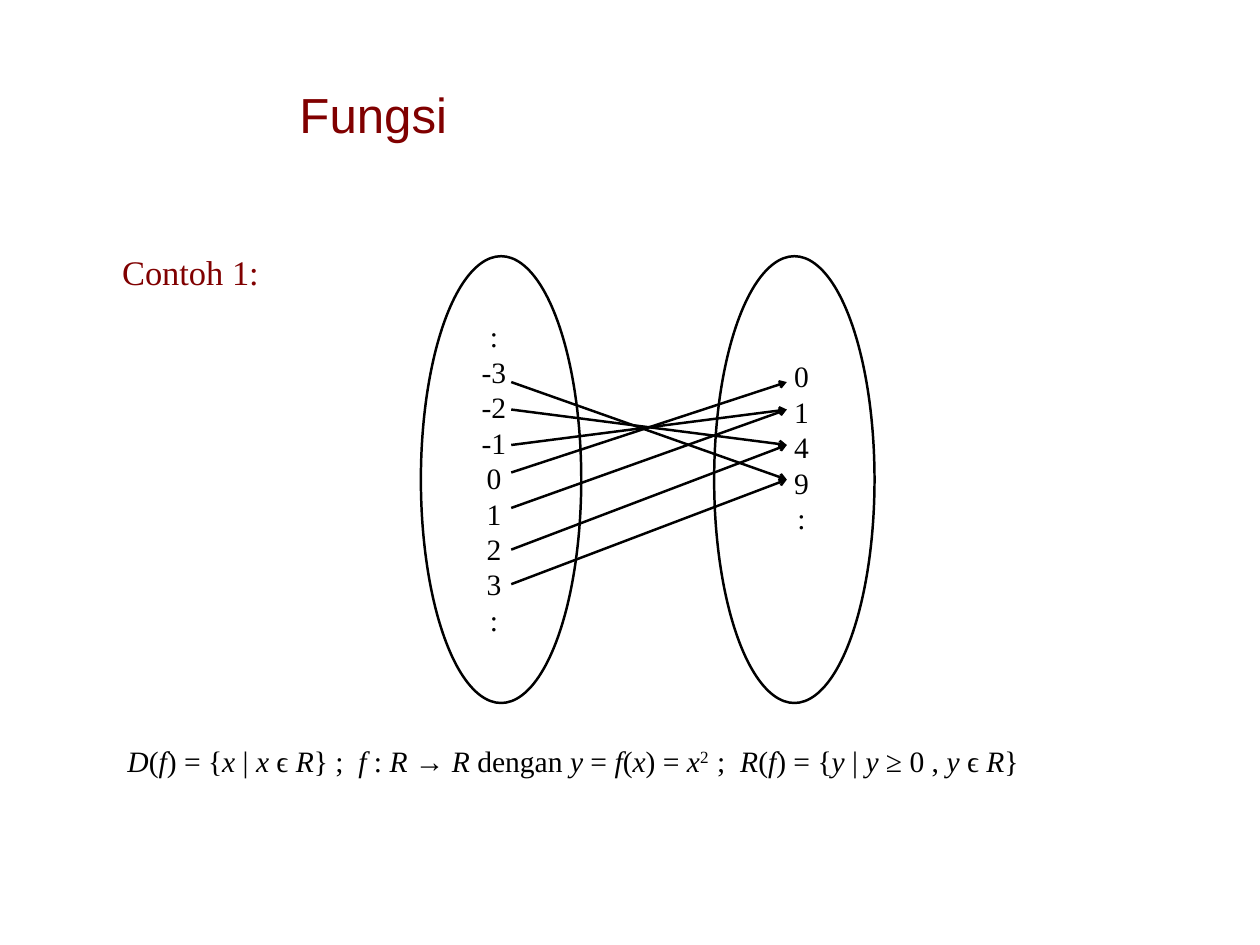
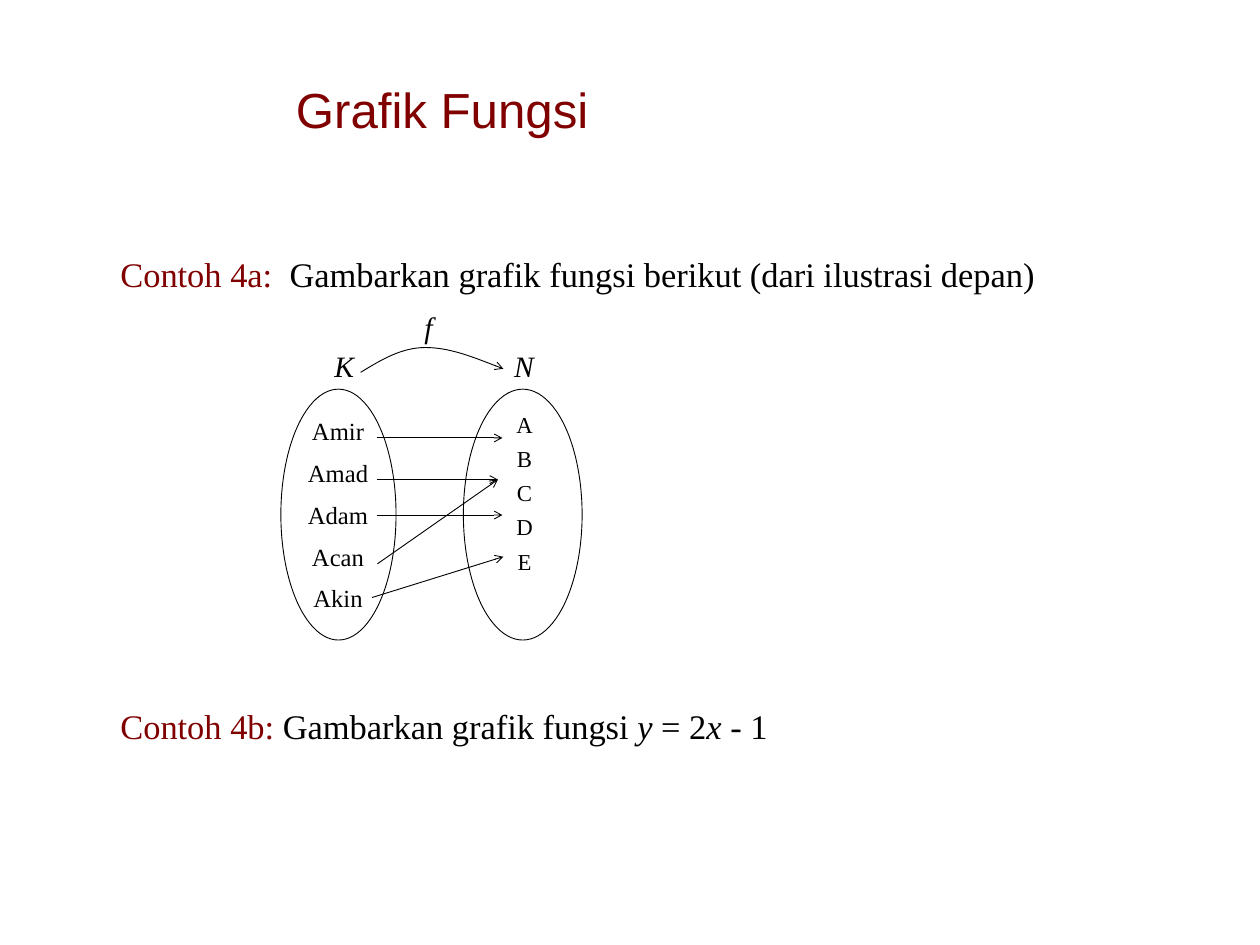
"""Build two slides on functions, with their mapping diagrams."""
from lxml.etree import SubElement
from pptx import Presentation
from pptx.dml.color import RGBColor
from pptx.enum.shapes import MSO_CONNECTOR, MSO_SHAPE
from pptx.enum.text import MSO_ANCHOR, PP_ALIGN
from pptx.oxml.ns import qn
from pptx.util import Pt

PX = 9144
COLORS = {"maroon": "800000", "black": "000000", "white": "FFFFFF"}
TITLE_FONT, BODY_FONT = "Arial", "Times New Roman"
LEFT, CENTER = PP_ALIGN.LEFT, PP_ALIGN.CENTER
MIDDLE = MSO_ANCHOR.MIDDLE
OVAL, STRAIGHT = MSO_SHAPE.OVAL, MSO_CONNECTOR.STRAIGHT


def add_text(page, bounds, lines, size, align=LEFT, inset=(10, 5), after=0, spacing=1.0):
    """Add a text box; * toggles italics, # starts a maroon span, ^ a superscript one."""
    box = page.shapes.add_textbox(*(value * PX for value in bounds))
    frame = box.text_frame
    frame.word_wrap = True
    frame.margin_left = frame.margin_right = inset[0] * PX
    frame.margin_top = frame.margin_bottom = inset[1] * PX
    for index, line in enumerate(lines):
        para = frame.add_paragraph() if index else frame.paragraphs[0]
        para.alignment = align
        para.space_after = Pt(after)
        para.line_spacing = spacing
        para.font.name = BODY_FONT
        para.font.size = Pt(size)
        para.font.color.rgb = RGBColor.from_string(COLORS["black"])
        for position, piece in enumerate(line.split("*")):
            if not piece:
                continue
            span = para.add_run()
            span.text = piece.lstrip("#^")
            if position % 2:
                span.font.italic = True
            if piece.startswith("#"):
                span.font.color.rgb = RGBColor.from_string(COLORS["maroon"])
            if piece.startswith("^"):
                span.font._element.set("baseline", "30000")


def draw_outline(shape, width, arrow=False):
    """Give a shape or connector a plain black line, with an arrowhead if asked."""
    shape.line.color.rgb = RGBColor.from_string(COLORS["black"])
    shape.line.width = Pt(width)
    properties = shape._element.spPr
    if arrow:
        SubElement(properties.find(qn("a:ln")), qn("a:tailEnd"), type="arrow")
    SubElement(properties, qn("a:effectLst"))


deck = Presentation()
deck.slide_width, deck.slide_height = 1422 * PX, 1066 * PX

pages = []
for text, left, top, width in [("Fungsi", 332, 85, 225), ("Grafik Fungsi", 328, 80, 414)]:
    page = deck.slides.add_slide(deck.slide_layouts[5])
    title = page.shapes.title
    title.left, title.top, title.width, title.height = left * PX, top * PX, width * PX, 86 * PX
    frame = title.text_frame
    frame.text = text
    frame.vertical_anchor = MIDDLE
    frame.margin_left = frame.margin_right = frame.margin_top = frame.margin_bottom = 6 * PX
    para = frame.paragraphs[0]
    para.alignment = LEFT
    para.font.name = TITLE_FONT
    para.font.size = Pt(40)
    para.font.color.rgb = RGBColor.from_string(COLORS["maroon"])
    pages.append(page)
function_page, graph_page = pages

add_text(function_page, (128, 278, 213, 66), ["#Contoh 1:"], 28)
formula = (
    "*D*(*f*) = {*x *| *x *ϵ *R*} ;  *f* : *R* →* R* dengan *y* = *f*(*x*) = *x*^2  **;  "
    "*R*(*f*) = {*y* | *y* ≥ 0 , *y *ϵ *R*}"
)
add_text(function_page, (134, 833, 1112, 63), [formula], 24)
add_text(graph_page, (126, 281, 1215, 66),
         ["#Contoh 4a:  **Gambarkan grafik fungsi berikut (dari ilustrasi depan)"], 28)
add_text(graph_page, (126, 790, 782, 66),
         ["#Contoh 4b: **Gambarkan grafik fungsi *y* = 2*x* - 1"], 28)

for page, left, top, width, height, weight in [
    (function_page, 475, 289, 181, 504, 2),
    (function_page, 806, 289, 181, 504, 2),
    (graph_page, 317, 439, 130, 283, 0.75),
    (graph_page, 523, 439, 134, 283, 0.75),
]:
    oval = page.shapes.add_shape(OVAL, left * PX, top * PX, width * PX, height * PX)
    oval.fill.solid()
    oval.fill.fore_color.rgb = RGBColor.from_string(COLORS["white"])
    draw_outline(oval, weight)

numbers = range(-3, 4)
add_text(function_page, (514, 354, 87, 375), [":", *map(str, numbers), ":"], 24, CENTER)
add_text(function_page, (861, 399, 87, 208), ["0", "1", "4", "9", ":"], 24, CENTER)
add_text(graph_page, (328, 468, 107, 231), ["Amir", "Amad", "Adam", "Acan", "Akin"],
         20, CENTER, (1, 1), after=10)
add_text(graph_page, (567, 468, 50, 207), list("ABCDE"), 18.5, CENTER, (1, 1),
         after=10, spacing=0.8)
for label, left, top in [("*K", 365, 392), ("*N", 568, 392), ("*f", 460, 348)]:
    add_text(graph_page, (left, top, 47, 47), [label], 24, CENTER, (1, 1))

number_tops = [431, 462, 502, 533, 573, 620, 659]
square_tops = {0: 431, 1: 462, 4: 502, 9: 541}
arrows = [
    (function_page, 577, top, 888, square_tops[number ** 2], 2)
    for number, top in zip(numbers, number_tops)
]
arrows += [
    (graph_page, *ends, 0.75)
    for ends in [(426, 494, 567, 494), (426, 541, 562, 541), (426, 581, 567, 581),
                 (426, 636, 562, 541), (420, 674, 568, 628)]
]
for page, *ends, weight in arrows:
    arrow = page.shapes.add_connector(STRAIGHT, *(value * PX for value in ends))
    draw_outline(arrow, weight, arrow=True)

curves = [[(430, 406), (453, 392), (480, 392)], [(507, 392), (537, 404), (568, 416)]]
builder = graph_page.shapes.build_freeform(407, 420, scale=PX)
builder.add_line_segments([curve[-1] for curve in curves], close=False)
arc = builder.convert_to_shape()
arc.fill.background()
draw_outline(arc, 0.75, arrow=True)
for segment, curve in zip(list(arc._element.iter(qn("a:lnTo"))), curves):
    segment.clear()
    segment.tag = qn("a:cubicBezTo")
    for x, y in curve:
        SubElement(segment, qn("a:pt"), x=str(x - 407), y=str(y - 392))

deck.save("out.pptx")
